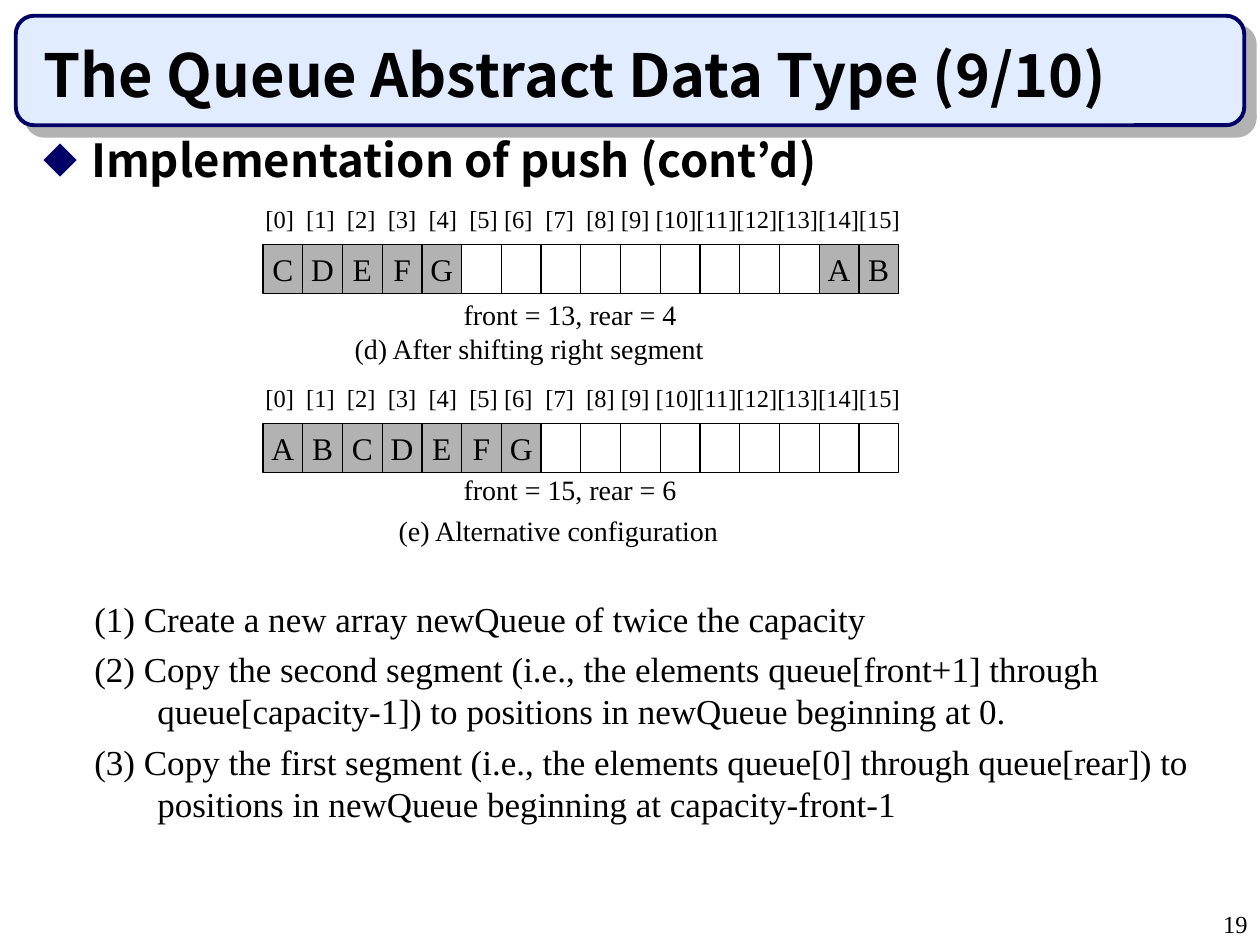
from lxml import etree
from pptx import Presentation
from pptx.dml.color import RGBColor
from pptx.enum.shapes import MSO_SHAPE
from pptx.enum.text import MSO_ANCHOR, PP_ALIGN
from pptx.oxml.ns import qn
from pptx.util import Pt

RECT, ROUND = MSO_SHAPE.RECTANGLE, MSO_SHAPE.ROUNDED_RECTANGLE
TOP, MIDDLE, BOTTOM = MSO_ANCHOR.TOP, MSO_ANCHOR.MIDDLE, MSO_ANCHOR.BOTTOM
LEFT, CENTER, RIGHT = PP_ALIGN.LEFT, PP_ALIGN.CENTER, PP_ALIGN.RIGHT

COLORS = {"text": "000000", "navy": "000066", "banner": "E1ECFF", "gray": "B2B2B2"}
SANS, SERIF = "Noto Sans CJK KR", "Times New Roman"

CELL_W, CELL_H, CELLS = 22.7, 28.1, 16
LABEL_PITCH = 23.3
INDEX_LABELS = ("[0]\t[1]\t[2]\t[3]\t[4]\t[5] [6]\t[7]\t[8] [9] "
                "[10][11][12][13][14][15]")
INDEX_TABS = [n * LABEL_PITCH for n in range(1, 6)] + [160, 160 + LABEL_PITCH]

QUEUES = [
    # top of labels, contents by cell, state, state top, caption, caption left and top
    (113, dict(enumerate("CDEFG")) | {14: "A", 15: "B"},
     "front = 13, rear = 4", 53.3, "(d) After shifting right segment", 45.3, 72.8),
    (215.3, dict(enumerate("ABCDEFG")),
     "front = 15, rear = 6", 51.1, "(e) Alternative configuration", 70.5, 74.9),
]
STEPS = [
    "(1) Create a new array newQueue of twice the capacity",
    "(2) Copy the second segment (i.e., the elements queue[front+1] through "
    "queue[capacity-1]) to positions in newQueue beginning at 0.",
    "(3) Copy the first segment (i.e., the elements queue[0] through "
    "queue[rear]) to positions in newQueue beginning at capacity-front-1",
]


def rgb(name):
    return RGBColor.from_string(COLORS[name])


def add_xml(parent, tag, **attrs):
    return etree.SubElement(parent, qn(tag), attrs)


def set_font(p, size, name=SERIF, bold=False):
    p.font.size, p.font.name, p.font.bold = Pt(size), name, bold
    p.font.color.rgb = rgb("text")


def add_text(s, box, text, size, name=SERIF, bold=False, align=LEFT, anchor=TOP):
    tf = s.shapes.add_textbox(*map(Pt, box)).text_frame
    tf.word_wrap, tf.vertical_anchor = True, anchor
    p = tf.paragraphs[0]
    p.text, p.alignment = text, align
    set_font(p, size, name, bold)
    return tf


def add_box(s, kind, box, fill, line, width):
    sp = s.shapes.add_shape(kind, *map(Pt, box))
    sp.shadow.inherit = False
    if fill:
        sp.fill.solid()
        sp.fill.fore_color.rgb = rgb(fill)
    else:
        sp.fill.background()
    sp.line.color.rgb, sp.line.width = rgb(line), Pt(width)
    return sp


def add_banner(s, x, y, w, h):
    sp = add_box(s, ROUND, (x, y, w, h), "banner", "navy", 2.25)
    effects = sp._element.spPr.find(qn("a:effectLst"))
    shadow = add_xml(effects, "a:outerShdw", dist=str(Pt(8.5)), dir="2700000",
                     algn="ctr", rotWithShape="0")
    add_xml(shadow, "a:srgbClr", val=COLORS["gray"])
    add_text(s, (x + 9, y + 9, w - 24, 48), "The Queue Abstract Data Type (9/10)",
             34, SANS, True, anchor=BOTTOM)


def add_heading(s, x, y, w, h):
    tf = s.shapes.add_textbox(*map(Pt, (x, y, w, h))).text_frame
    tf.word_wrap = True
    p = tf.paragraphs[0]
    p.text = "Implementation of push (cont’d)"
    pPr = p._p.get_or_add_pPr()
    pPr.set("marL", str(Pt(27)))
    pPr.set("indent", str(Pt(-27)))
    add_xml(add_xml(pPr, "a:buClr"), "a:srgbClr", val=COLORS["navy"])
    add_xml(pPr, "a:buSzPct", val="75000")
    add_xml(pPr, "a:buFont", typeface=SANS)
    add_xml(pPr, "a:buChar", char="◆")
    p.line_spacing = 0.8
    set_font(p, 26, SANS, True)


def add_index_labels(s, x, y):
    tf = s.shapes.add_textbox(*map(Pt, (x, y, 420, 24.5))).text_frame
    tf.word_wrap = True
    p = tf.paragraphs[0]
    p.text = INDEX_LABELS
    tabs = add_xml(p._p.get_or_add_pPr(), "a:tabLst")
    for pos in INDEX_TABS:
        add_xml(tabs, "a:tab", pos=str(Pt(pos)), algn="l")
    set_font(p, 14)


def add_queue(s, x, y, contents, state, state_y, caption, caption_x, caption_y):
    """Draw index labels, the row of cells and the two lines below it."""
    add_index_labels(s, x - 5.7, y)
    for i in range(CELLS):
        value = contents.get(i)
        sp = add_box(s, RECT, (x + i * CELL_W, y + 26.7, CELL_W, CELL_H),
                     "gray" if value else None, "text", 0.75)
        if value:
            tf = sp.text_frame
            tf.word_wrap, tf.vertical_anchor = False, MIDDLE
            p = tf.paragraphs[0]
            p.text, p.alignment = value, CENTER
            set_font(p, 18)
    add_text(s, (x + 107.5, y + state_y, 170, 26.6), state, 16)
    add_text(s, (x + caption_x, y + caption_y, 268, 26.6), caption, 16)


def add_steps(s, x, y, w, h):
    tf = add_text(s, (x, y, w, h), STEPS[0], 20)
    for text in STEPS[1:]:
        p = tf.add_paragraph()
        p.text, p.space_before = text, Pt(5)
        set_font(p, 20)
    for p in tf.paragraphs:
        p.level = 1
        pPr = p._p.get_or_add_pPr()
        pPr.set("marL", str(Pt(72)))
        pPr.set("indent", str(Pt(-36)))


def main():
    prs = Presentation()
    prs.slide_width, prs.slide_height = Pt(720), Pt(540)
    s = prs.slides.add_slide(prs.slide_layouts[6])
    add_banner(s, 9, 9, 702, 62.6)
    add_text(s, (570, 516, 150, 24), "19", 14, align=RIGHT)
    add_heading(s, 18, 78, 678, 39)
    for top, *queue in QUEUES:
        add_queue(s, 150.3, top, *queue)
    add_steps(s, 10.8, 337.7, 678, 170)
    prs.save("out.pptx")


if __name__ == "__main__":
    main()
